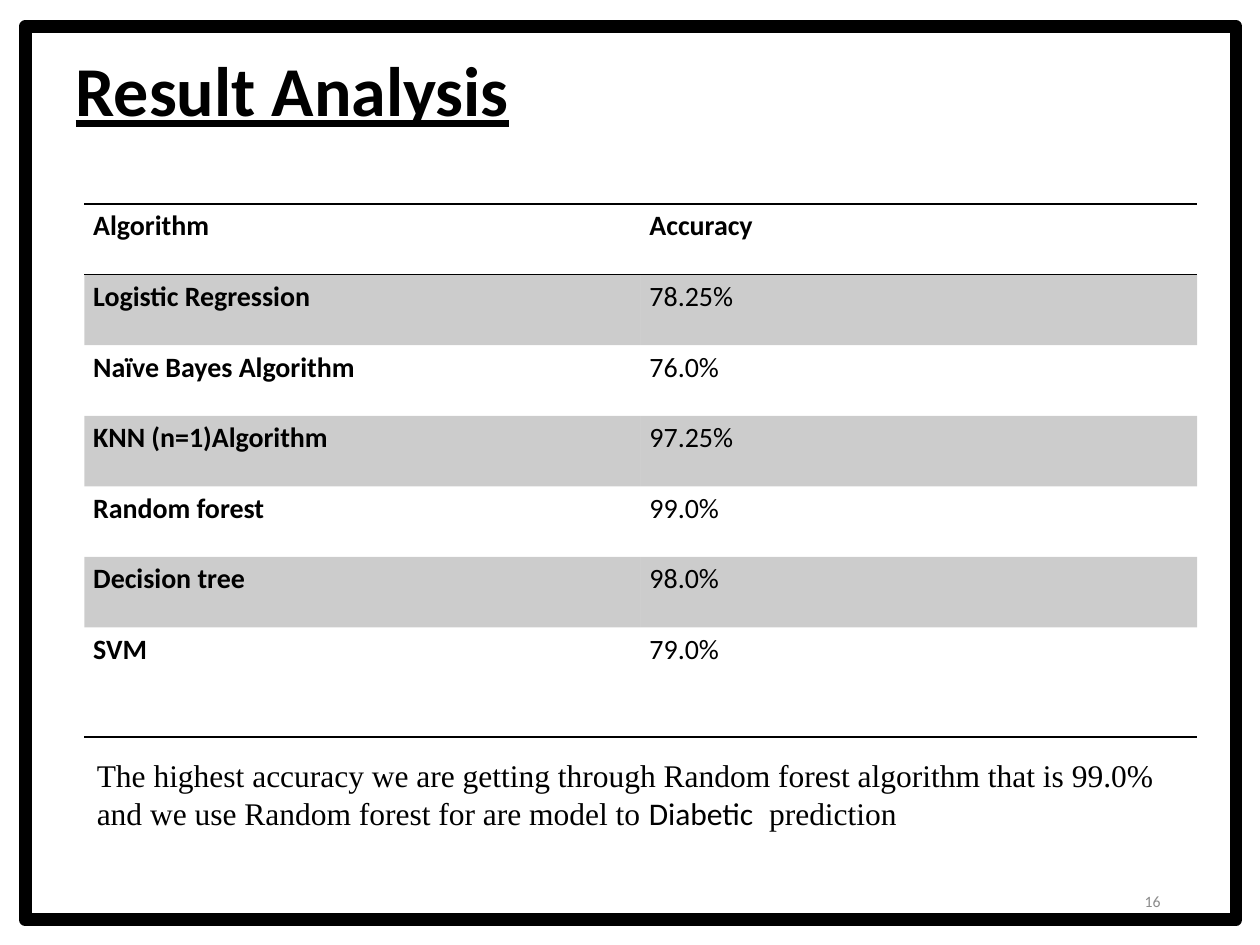
from lxml.etree import SubElement
from pptx import Presentation
from pptx.dml.color import RGBColor
from pptx.enum.shapes import MSO_SHAPE
from pptx.enum.text import MSO_ANCHOR as ANCHOR, PP_ALIGN as ALIGN
from pptx.oxml.ns import qn
from pptx.util import Inches, Pt

BLACK = "000000"
NO_STYLE = "{2D5ABB26-0587-4C30-8999-92F81FD0307C}"
ROWS = [
    ("Algorithm", "Accuracy"),
    ("Logistic Regression", "78.25%"),
    ("Naïve Bayes Algorithm", "76.0%"),
    ("KNN (n=1)Algorithm", "97.25%"),
    ("Random forest", "99.0%"),
    ("Decision tree", "98.0%"),
    ("SVM", "79.0%"),
]
CONCLUSION = [
    ("The highest accuracy we are getting through Random forest algorithm "
     "that is 99.0% and we use Random forest for are model to ",
     "Times New Roman"),
    ("Diabetic", "Calibri"),
    ("  prediction", "Times New Roman"),
]


def rgb(color):
    return RGBColor.from_string(color)


def format_run(r, size, color=BLACK, font="Calibri", bold=False):
    r.font.size = Pt(size)
    r.font.name = font
    r.font.bold = bold
    r.font.color.rgb = rgb(color)


def add_title(s, text):
    sp = s.shapes.title
    sp.left, sp.top, sp.width, sp.height = map(Inches, (0.5, 0.36, 9, 0.77))
    tf = sp.text_frame
    tf.text = text
    tf.vertical_anchor = ANCHOR.MIDDLE
    p = tf.paragraphs[0]
    p.alignment = ALIGN.LEFT
    p.line_spacing = 0.9
    format_run(p.runs[0], 40, bold=True)
    p.runs[0].font.underline = True


def add_text(s, box, runs, size, color=BLACK, align=ALIGN.LEFT, anchor=ANCHOR.TOP):
    """Add a one-paragraph text box; runs are (text, font) pairs."""
    tf = s.shapes.add_textbox(*map(Inches, box)).text_frame
    tf.word_wrap = True
    tf.vertical_anchor = anchor
    p = tf.paragraphs[0]
    p.alignment = align
    for text, font in runs:
        r = p.add_run()
        r.text = text
        format_run(r, size, color, font)


def add_frame(s):
    sp = s.shapes.add_shape(MSO_SHAPE.RECTANGLE, *map(Inches, (0.2, 0.21, 9.61, 7.09)))
    sp.shadow.inherit = False
    sp.fill.background()
    sp.line.color.rgb = rgb(BLACK)
    sp.line.width = Pt(7.25)


def add_border(cell, side):
    ln = SubElement(cell._tc.get_or_add_tcPr(), qn(f"a:ln{side}"), w=str(Pt(1)))
    SubElement(SubElement(ln, qn("a:solidFill")), qn("a:srgbClr"), val=BLACK)


def fill_cell(cell, banded):
    if not banded:
        cell.fill.background()
        return
    cell.fill.solid()
    cell.fill.fore_color.rgb = rgb(BLACK)
    clr = next(cell._tc.iterchildren(qn("a:tcPr"))).find(f".//{qn('a:solidFill')}[last()]")
    clr = cell._tc.tcPr.find(qn("a:solidFill")).find(qn("a:srgbClr"))
    SubElement(clr, qn("a:alpha"), val="20000")


def format_cell(cell, text, bold, sides, banded, space_after):
    cell.margin_left = cell.margin_right = Inches(0.07)
    cell.margin_top = cell.margin_bottom = 0
    cell.text = text
    p = cell.text_frame.paragraphs[0]
    p.line_spacing = 1.15
    p.space_after = Pt(space_after)
    format_run(p.runs[0], 16, bold=bold)
    for side in sides:
        add_border(cell, side)
    fill_cell(cell, banded)


def add_results_table(s):
    box = map(Inches, (0.67, 1.62, 8.83, 4.25))
    frame = s.shapes.add_table(len(ROWS), 2, *box)
    next(frame.element.iter(qn("a:tableStyleId"))).text = NO_STYLE
    table = frame.table
    table.horz_banding = False
    last = len(ROWS) - 1
    borders = {0: "TB", last: "B"}
    for i, row in enumerate(ROWS):
        table.rows[i].height = Inches(0.87 if i == last else 0.56)
        for j, text in enumerate(row):
            format_cell(table.cell(i, j), text, bold=i == 0 or j == 0,
                        sides=borders.get(i, ""), banded=i % 2 == 1,
                        space_after=0 if i == last else 10)


def main():
    prs = Presentation()
    prs.slide_width, prs.slide_height = Inches(10), Inches(7.5)
    s = prs.slides.add_slide(prs.slide_layouts[5])

    # Title, page number and border
    add_title(s, "Result Analysis")
    add_text(s, (7.06, 6.95, 2.25, 0.4), [("16", "Calibri")], 9, "8C8C8C",
             ALIGN.RIGHT, ANCHOR.MIDDLE)
    add_frame(s)

    # Accuracy figures and conclusion
    add_results_table(s)
    add_text(s, (0.67, 5.95, 8.64, 0.71), CONCLUSION, 18)
    prs.save("out.pptx")


if __name__ == "__main__":
    main()
